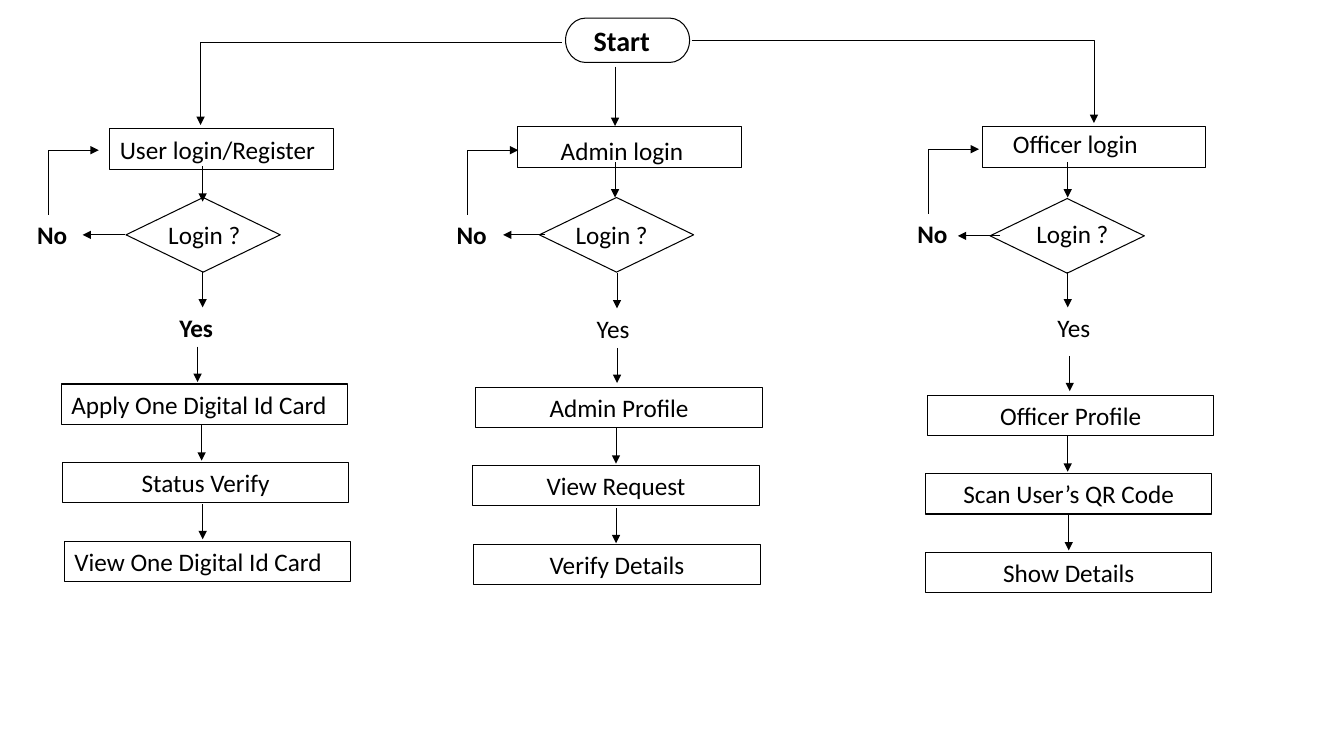
from dataclasses import dataclass

from lxml import etree
from pptx import Presentation
from pptx.dml.color import RGBColor
from pptx.enum.shapes import MSO_CONNECTOR as Link, MSO_SHAPE as Shape
from pptx.enum.text import MSO_ANCHOR as Anchor, PP_ALIGN as Align
from pptx.oxml.ns import qn
from pptx.util import Inches, Pt

BLACK = RGBColor(0, 0, 0)
FONT = "Calibri"
ROW_H = 0.4
ENTRY_W, STEP_W, STEP_PITCH = 2.22, 2.84, 0.78
DIAMOND_W, DIAMOND_H = 1.53, 0.74

Point = tuple[float, float]


@dataclass(frozen=True)
class Label:
    text: str
    x: float
    y: float
    w: float
    align: Align = Align.LEFT
    bold: bool = False


@dataclass(frozen=True)
class Step:
    text: str
    x: float
    align: Align = Align.CENTER


@dataclass(frozen=True)
class Branch:
    """One column: login box, decision, retry loop and three steps."""
    entry: Point
    diamond: Point
    no: Point
    no_tip: float
    retry_y: float
    labels: tuple[Label, ...]
    arrows: tuple[Point, ...]  # tops of the downward arrows
    steps_top: float
    steps: tuple[Step, ...]


BRANCHES = (
    Branch(
        entry=(1.09, 1.28), diamond=(1.25, 1.96), no=(0.27, 2.13),
        no_tip=0.82, retry_y=1.49,
        labels=(Label("User login/Register", 1.09, 1.28, 2.23),
                Label("Login ?", 1.57, 2.13, 1.05),
                Label("Yes", 1.68, 3.05, 0.67, bold=True)),
        arrows=((2.01, 1.65), (2.01, 2.7), (1.96, 3.44), (2, 4.22), (2.01, 5)),
        steps_top=3.81,
        steps=(Step("Apply One Digital Id Card", 0.61, Align.LEFT),
               Step("Status Verify", 0.62),
               Step("View One Digital Id Card", 0.64, Align.LEFT)),
    ),
    Branch(
        entry=(5.13, 1.26), diamond=(5.35, 1.96), no=(4.43, 2.13),
        no_tip=4.99, retry_y=1.49,
        labels=(Label("Admin login", 4.99, 1.29, 2.36, Align.CENTER),
                Label("Login ?", 5.61, 2.13, 1.05),
                Label("Yes", 5.82, 3.06, 1.53)),
        arrows=((6.1, 1.61), (6.12, 2.71), (6.12, 3.45), (6.11, 4.25), (6.11, 5.04)),
        steps_top=3.84,
        steps=(Step("Admin Profile", 4.72), Step("View Request", 4.69),
               Step("Verify Details", 4.7)),
    ),
    Branch(
        entry=(9.74, 1.26), diamond=(9.82, 1.97), no=(9, 2.12),
        no_tip=9.5, retry_y=1.48,
        labels=(Label("Officer login", 9.24, 1.22, 2.85, Align.CENTER),
                Label("Login ?", 10.18, 2.12, 1.05),
                Label("Yes", 10.39, 3.05, 1.53)),
        arrows=((10.59, 1.61), (10.59, 2.7), (10.61, 3.53), (10.59, 4.33), (10.6, 5.11)),
        steps_top=3.92,
        steps=(Step("Officer Profile", 9.2), Step("Scan User’s QR Code", 9.18),
               Step("Show Details", 9.18)),
    ),
)


def write(tf, text: str, *, size: float = 18, bold: bool = False,
          align: Align = Align.LEFT, anchor: Anchor = Anchor.TOP) -> None:
    tf.word_wrap = True
    tf.vertical_anchor = anchor
    p = tf.paragraphs[0]
    p.alignment = align
    r = p.add_run()
    r.text = text
    r.font.name = FONT
    r.font.size = Pt(size)
    r.font.bold = bold
    r.font.color.rgb = BLACK


def add_label(s, label: Label, *, h: float = ROW_H, size: float = 18) -> None:
    box = s.shapes.add_textbox(*map(Inches, (label.x, label.y, label.w, h)))
    write(box.text_frame, label.text, size=size, bold=label.bold, align=label.align)


def add_outline(s, kind: Shape, x: float, y: float, w: float, h: float):
    sp = s.shapes.add_shape(kind, *map(Inches, (x, y, w, h)))
    sp.shadow.inherit = False
    sp.fill.background()
    sp.line.color.rgb = BLACK
    sp.line.width = Pt(0.75)
    return sp


def add_line(s, start: Point, end: Point, *, arrow: bool = True, bent: bool = False) -> None:
    """Straight line, or one that runs across and then down."""
    kind = Link.ELBOW if bent else Link.STRAIGHT
    cxn = s.shapes.add_connector(kind, *map(Inches, (*start, *end)))
    cxn.line.color.rgb = BLACK
    cxn.line.width = Pt(0.5)
    sp_pr = cxn.element.spPr
    if bent:
        sp_pr.find(qn("a:prstGeom")).set("prst", "bentConnector2")
    if arrow:
        etree.SubElement(sp_pr.find(qn("a:ln")), qn("a:tailEnd"), type="triangle")
    etree.SubElement(sp_pr, qn("a:effectLst"))


def add_branch(s, b: Branch) -> None:
    add_outline(s, Shape.RECTANGLE, *b.entry, ENTRY_W, ROW_H)
    add_outline(s, Shape.FLOWCHART_DECISION, *b.diamond, DIAMOND_W, DIAMOND_H)
    no_x, no_y = b.no
    for label in (*b.labels, Label("No", no_x, no_y, 0.67, bold=True)):
        add_label(s, label)

    mid_y = b.diamond[1] + DIAMOND_H / 2
    corner = (no_x + 0.21, b.retry_y)
    add_line(s, (b.no_tip + 0.42, mid_y), (b.no_tip, mid_y))
    add_line(s, (corner[0], no_y), corner, arrow=False)
    add_line(s, corner, (corner[0] + 0.5, b.retry_y))
    for x, y in b.arrows:
        add_line(s, (x, y), (x, y + 0.35))

    for i, step in enumerate(b.steps):
        sp = add_outline(s, Shape.RECTANGLE, step.x, b.steps_top + i * STEP_PITCH,
                         STEP_W, ROW_H)
        write(sp.text_frame, step.text, align=step.align, anchor=Anchor.MIDDLE)


def main() -> None:
    prs = Presentation()
    prs.slide_width, prs.slide_height = Inches(13.33), Inches(7.5)
    s = prs.slides.add_slide(prs.slide_layouts[6])

    add_outline(s, Shape.FLOWCHART_TERMINATOR, 5.61, 0.18, 1.23, 0.44)
    add_label(s, Label("Start", 5.79, 0.18, 2.58, bold=True), h=0.44, size=20)
    for b in BRANCHES:
        add_branch(s, b)
    add_line(s, (5.57, 0.42), (1.99, 1.24), bent=True)
    add_line(s, (6.1, 0.66), (6.1, 1.25))
    add_line(s, (6.86, 0.4), (10.85, 1.22), bent=True)

    prs.save("out.pptx")


if __name__ == "__main__":
    main()
